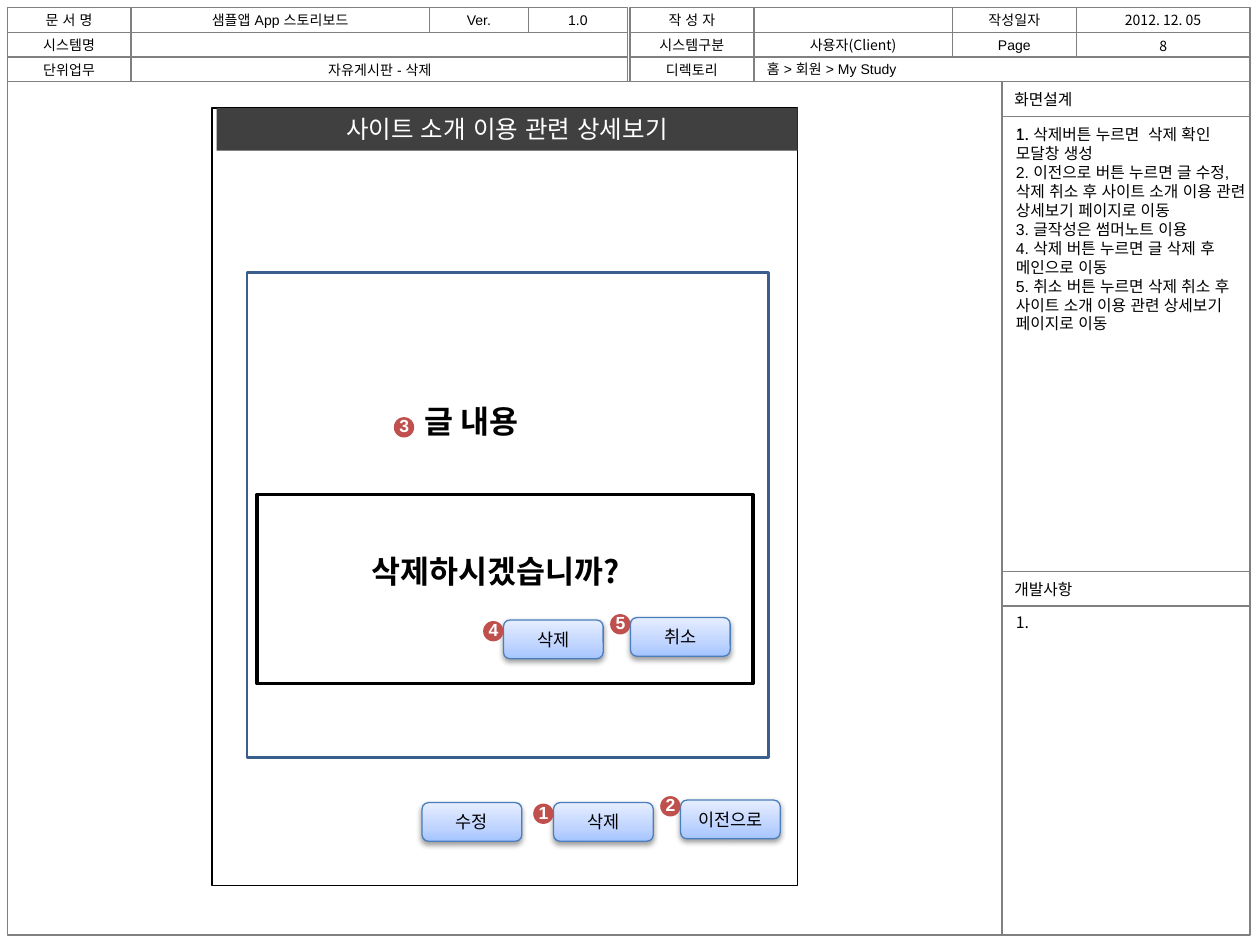
from copy import deepcopy

from lxml.etree import SubElement
from pptx import Presentation
from pptx.dml.color import RGBColor
from pptx.enum.shapes import MSO_SHAPE
from pptx.enum.text import MSO_ANCHOR, PP_ALIGN
from pptx.oxml.ns import qn
from pptx.util import Cm, Pt

SANS = "Noto Sans CJK KR"
GRAY = "808080"
ROW_TOP, ROW_H = 0.15, 0.5
COLS = [0.15, 2.64, 8.66, 10.65, 12.65, 12.7, 15.2, 19.2, 21.7, 25.2]
HEADER = [
    (0, 0, 1, "문 서 명"), (0, 1, 2, "샘플앱 App 스토리보드"), (0, 2, 3, "Ver."),
    (0, 3, 4, "1.0"), (0, 5, 6, "작 성 자"), (0, 6, 7, ""), (0, 7, 8, "작성일자"),
    (0, 8, 9, ""), (1, 0, 1, "시스템명"), (1, 1, 4, ""), (1, 5, 6, "시스템구분"),
    (1, 6, 9, ""), (1, 7, 8, "Page"), (2, 0, 1, "단위업무"), (2, 1, 4, ""),
    (2, 5, 6, "디렉토리"), (2, 6, 9, ""),
]
PANELS = [
    (0.15, 1.65, 20.05, 17.2, ""),
    (20.2, 1.65, 5, 0.7, "화면설계"),
    (20.2, 2.35, 5, 9.17, ""),
    (20.2, 11.52, 5, 0.7, "개발사항"),
    (20.2, 12.22, 5, 6.63, ""),
]
NOTES = [
    "1. 삭제버튼 누르면  삭제 확인 모달창 생성",
    "2. 이전으로 버튼 누르면 글 수정, 삭제 취소 후 사이트 소개 이용 관련 상세보기 페이지로 이동",
    "3. 글작성은 썸머노트 이용",
    "4. 삭제 버튼 누르면 글 삭제 후 메인으로 이동",
    "5. 취소 버튼 누르면 삭제 취소 후 사이트 소개 이용 관련 상세보기 페이지로 이동",
]
BUTTONS = [
    (13.72, 16.13, "이전으로"), (11.16, 16.18, "삭제"), (12.71, 12.45, "취소"),
    (10.15, 12.5, "삭제"), (8.51, 16.18, "수정"),
]
BADGES = [
    (13.31, 16.05, "2"), (10.75, 16.2, "1"), (12.3, 12.38, "5"),
    (9.74, 12.52, "4"), (7.94, 8.41, "3"),
]
GRADIENT = [(0, "A4C4FF"), (0.35, "BFD4FF"), (1, "E6EEFF")]


def rgb(value):
    """Return the colour for a hex string."""
    return RGBColor.from_string(value)


def write(sp, text, size=8, font="Arial", color="000000", bold=False,
          align=PP_ALIGN.LEFT, anchor=MSO_ANCHOR.TOP, wrap=True):
    """Write one paragraph per line of text with a shared format."""
    tf = sp.text_frame
    tf.word_wrap = wrap
    tf.vertical_anchor = anchor
    for i, line in enumerate(text.split("\n")):
        p = tf.add_paragraph() if i else tf.paragraphs[0]
        p.alignment = align
        r = p.add_run()
        r.text = line
        r.font.size, r.font.name, r.font.bold = Pt(size), font, bold
        r.font.color.rgb = rgb(color)
        SubElement(r.font._element, qn("a:ea")).set("typeface", font)


def add_box(shapes, x, y, w, h, fill=None, line=None, width=0.75,
            kind=MSO_SHAPE.RECTANGLE):
    """Add a flat preset shape with an optional fill and outline."""
    sp = shapes.add_shape(kind, Cm(x), Cm(y), Cm(w), Cm(h))
    sp.shadow.inherit = False
    if fill:
        sp.fill.solid()
        sp.fill.fore_color.rgb = rgb(fill)
    else:
        sp.fill.background()
    if line:
        sp.line.color.rgb = rgb(line)
        sp.line.width = Pt(width)
    else:
        sp.line.fill.background()
    return sp


def add_text(shapes, x, y, w, h, text, **fmt):
    """Add a text box."""
    sp = shapes.add_textbox(Cm(x), Cm(y), Cm(w), Cm(h))
    write(sp, text, **fmt)
    return sp


def add_cell(shapes, x, y, w, h, text, **fmt):
    """Add a gray ruled cell, with a label if there is one."""
    sp = add_box(shapes, x, y, w, h, line=GRAY)
    if text:
        write(sp, text, anchor=MSO_ANCHOR.MIDDLE, **fmt)


def add_button(shapes, x, y, text):
    """Add a rounded gradient button with a soft shadow."""
    sp = add_box(shapes, x, y, 2.01, 0.78, line="4B7EBC",
                 kind=MSO_SHAPE.ROUNDED_RECTANGLE)
    sp.fill.gradient()
    sp.fill.gradient_angle = 90
    stops = sp._element.spPr.find(qn("a:gradFill")).find(qn("a:gsLst"))
    stops.append(deepcopy(stops[0]))
    for stop, (position, color) in zip(sp.fill.gradient_stops, GRADIENT):
        stop.position = position
        stop.color.rgb = rgb(color)
    effects = sp._element.spPr.find(qn("a:effectLst"))
    shadow = SubElement(effects, qn("a:outerShdw"), blurRad="40000",
                        dist="20000", dir="5400000", rotWithShape="0")
    black = SubElement(shadow, qn("a:srgbClr"), val="000000")
    SubElement(black, qn("a:alpha"), val="38000")
    write(sp, text, size=10, font=SANS, align=PP_ALIGN.CENTER,
          anchor=MSO_ANCHOR.MIDDLE)


def add_badge(shapes, x, y, number):
    """Add a numbered red marker as a group."""
    group = shapes.add_group_shape().shapes
    add_box(group, x, y, 0.41, 0.41, fill="C0504D", kind=MSO_SHAPE.OVAL)
    add_text(group, x - 0.14, y - 0.16, 1.4, 0.68, number, size=10,
             color="FFFFFF", bold=True)


def add_form(shapes):
    """Add the storyboard form with its header and side panels."""
    center = PP_ALIGN.CENTER
    for row, first, last, text in HEADER:
        x = COLS[first]
        add_cell(shapes, x, ROW_TOP + row * ROW_H, COLS[last] - x, ROW_H, text,
                 align=center)
    for x, y, w, h, text in PANELS:
        add_cell(shapes, x, y, w, h, text, size=9)
    for y in (2.39, 12.22):
        add_text(shapes, 20.23, y, 5.15, 0.64, "1.", size=9, font=SANS)
    add_text(shapes, 21.7, 0.68, 3.5, 0.5, "8", font=SANS, align=center,
             anchor=MSO_ANCHOR.MIDDLE)
    add_text(shapes, 15.2, 0.61, 4, 0.6, "사용자(Client)", font=SANS, align=center)
    add_text(shapes, 21.7, 0.1, 3.5, 0.6, "2012. 12. 05", font=SANS, align=center)
    add_text(shapes, 2.66, 1.12, 10, 0.6, "자유게시판 - 삭제", align=center)
    add_text(shapes, 15.21, 1.1, 10, 0.6, "홈 > 회원 > My Study")
    add_text(shapes, 20.23, 2.39, 5.15, 4.88, "\n".join(NOTES), size=9)


def add_screen(shapes):
    """Add the app screen with its dialog, buttons and markers."""
    add_box(shapes, 4.27, 2.18, 11.81, 15.67, fill="FFFFFF", line="000000", width=1)
    title = add_box(shapes, 4.37, 2.18, 11.71, 0.86, fill="404040")
    write(title, "사이트 소개 이용 관련 상세보기", size=14, color="FFFFFF",
          align=PP_ALIGN.CENTER)
    add_box(shapes, 4.98, 5.49, 10.52, 9.78, line="3A5F8C", width=1.5)
    add_box(shapes, 5.18, 9.97, 10, 3.81, line="000000", width=2)
    add_text(shapes, 8.31, 7.98, 4.27, 1.02, "글 내용", size=18, font=SANS, bold=True)
    add_text(shapes, 7.24, 11, 5.87, 1.02, "삭제하시겠습니까?", size=18, font=SANS,
             bold=True, wrap=False)
    for button in BUTTONS:
        add_button(shapes, *button)
    for badge in BADGES:
        add_badge(shapes, *badge)


def main():
    """Build the storyboard slide."""
    prs = Presentation()
    prs.slide_width, prs.slide_height = Cm(25.4), Cm(19.05)
    s = prs.slides.add_slide(prs.slide_layouts[6])
    add_form(s.shapes)
    add_screen(s.shapes)
    prs.save("out.pptx")


if __name__ == "__main__":
    main()
